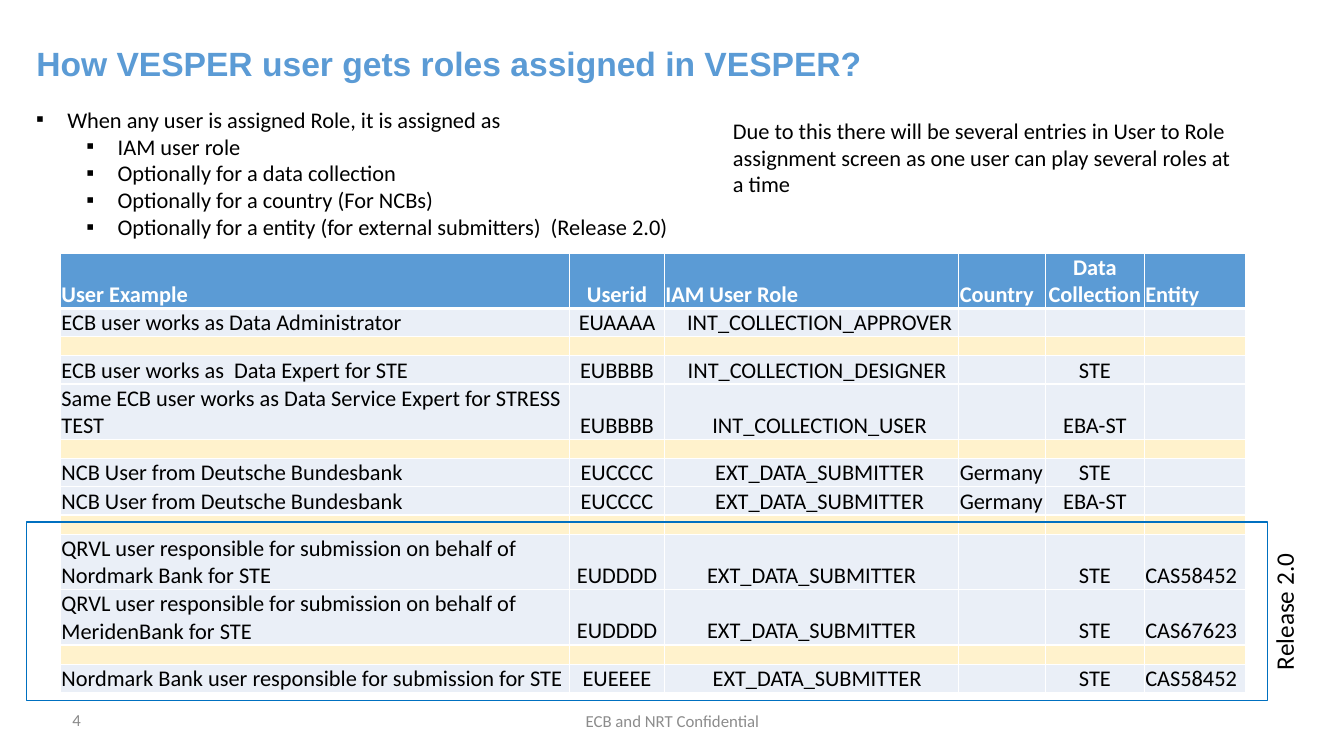
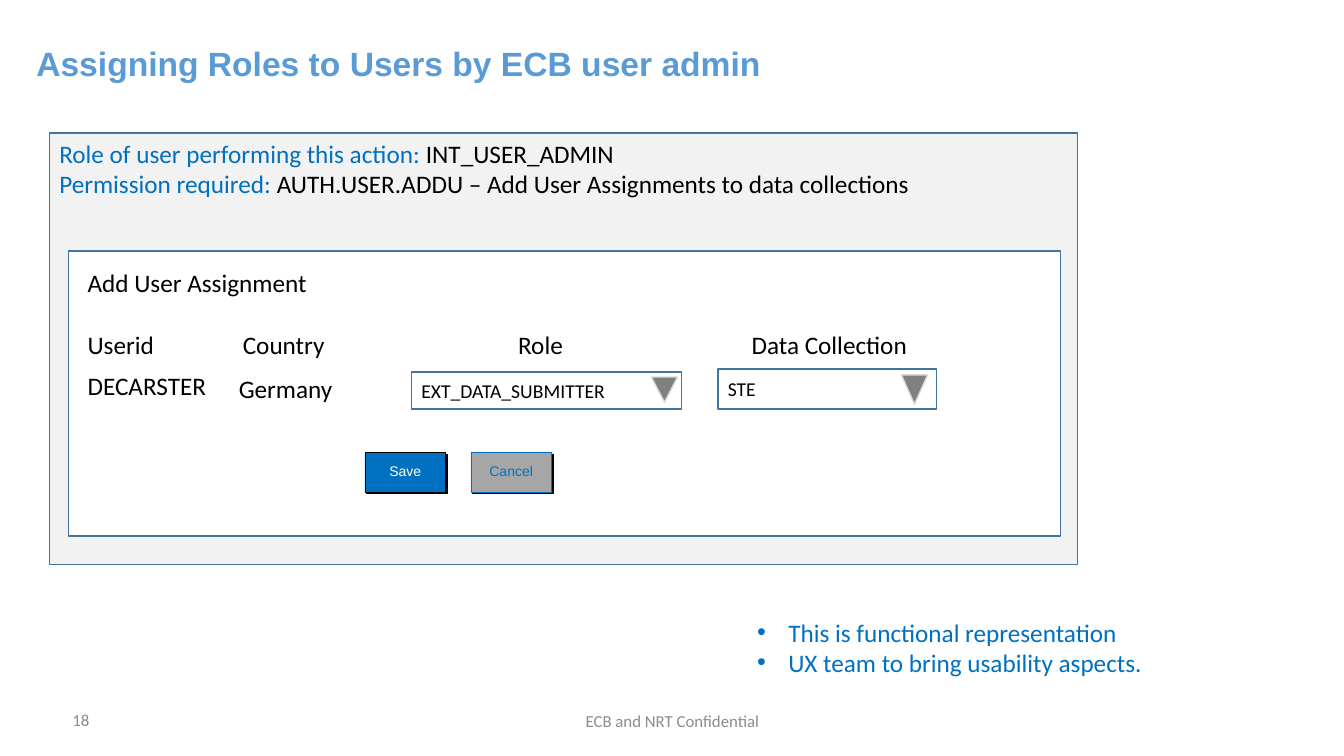
"""Build two slides on how users are assigned roles."""
from lxml import etree
from pptx import Presentation
from pptx.dml.color import RGBColor
from pptx.enum.shapes import MSO_SHAPE
from pptx.enum.text import MSO_ANCHOR, MSO_AUTO_SIZE, PP_ALIGN
from pptx.oxml.ns import qn
from pptx.util import Inches, Pt

RECTANGLE = MSO_SHAPE.RECTANGLE
TRIANGLE = MSO_SHAPE.ISOSCELES_TRIANGLE
LEFT, CENTER, JUSTIFY = PP_ALIGN.LEFT, PP_ALIGN.CENTER, PP_ALIGN.JUSTIFY
TOP, MIDDLE, BOTTOM = MSO_ANCHOR.TOP, MSO_ANCHOR.MIDDLE, MSO_ANCHOR.BOTTOM
COLORS = {
    "heading": "5B9BD5", "ink": "000000", "white": "FFFFFF", "accent": "0070C0",
    "frame": "43739E", "panel": "F2F2F2", "row": "EAEFF7", "gap": "FFF2CC",
    "footer": "8C8C8C", "number": "898989", "arrow": "808080",
    "arrow_edge": "D9D9D9", "disabled": "A6A6A6",
}


def write(para, size, spans, align=LEFT, font="Calibri", bold=False):
    """Add coloured spans to a paragraph."""
    para.alignment = align
    for text, color in spans:
        span = para.add_run()
        span.text = text
        span.font.size = Pt(size)
        span.font.name = font
        span.font.bold = bold
        span.font.color.rgb = RGBColor.from_string(COLORS[color])


def place(page, kind, area, fill=None, line=None, width=1):
    """Add a preset shape, or a text box when there is no kind."""
    area = [Inches(length) for length in area]
    if kind is None:
        box = page.shapes.add_textbox(*area)
    else:
        box = page.shapes.add_shape(kind, *area)
        box.shadow.inherit = False
        box.line.color.rgb = RGBColor.from_string(COLORS[line])
        box.line.width = Pt(width)
        if fill:
            box.fill.solid()
            box.fill.fore_color.rgb = RGBColor.from_string(COLORS[fill])
        else:
            box.fill.background()
        box.text_frame.vertical_anchor = MIDDLE
    box.text_frame.word_wrap = True
    return box


deck = Presentation()
deck.slide_width, deck.slide_height = Inches(13.33), Inches(7.5)
title_only = deck.slide_layouts[5]

pages = []
for heading, number in [
    ("How VESPER user gets roles assigned in VESPER?", "4"),
    ("Assigning Roles to Users by ECB user admin", "18"),
]:
    page = deck.slides.add_slide(title_only)
    pages.append(page)
    title = page.shapes.title
    title.left, title.top = Inches(0.26), Inches(0.42)
    title.width, title.height = Inches(11.55), Inches(0.57)
    title.text_frame.vertical_anchor = TOP
    title.text_frame.auto_size = MSO_AUTO_SIZE.NONE
    para = title.text_frame.paragraphs[0]
    para.line_spacing = 0.9
    write(para, 24, [(heading, "heading")], JUSTIFY, "Arial", True)
    for area, text, color, align in [
        ((4.42, 6.95, 4.5, 0.4), "ECB and NRT Confidential", "footer", CENTER),
        ((0.62, 6.94, 3, 0.4), number, "number", LEFT),
    ]:
        box = place(page, None, area)
        box.text_frame.vertical_anchor = MIDDLE
        write(box.text_frame.paragraphs[0], 12, [(text, color)], align)
roles_page, form_page = pages

for page, area, size, color, mark, items in [
    (roles_page, (0.26, 1, 6.57, 1.72), 16, "ink", "▪", [
        (0, "When any user is assigned Role, it is assigned as"),
        (1, "IAM user role"),
        (1, "Optionally for a data collection"),
        (1, "Optionally for a country (For NCBs)"),
        (1, "Optionally for a entity (for external submitters)  (Release 2.0)"),
    ]),
    (form_page, (7.41, 6.07, 4.49, 0.71), 18, "accent", "•", [
        (0, "This is functional representation"),
        (0, "UX team to bring usability aspects."),
    ]),
]:
    frame = place(page, None, area).text_frame
    for index, (level, text) in enumerate(items):
        para = frame.add_paragraph() if index else frame.paragraphs[0]
        para.level = level
        write(para, size, [(text, color)])
        properties = para._p.get_or_add_pPr()
        properties.set("marL", str(Inches(0.31 + 0.5 * level)))
        properties.set("indent", str(-Inches(0.31)))
        etree.SubElement(properties, qn("a:buFont")).set("typeface", "Arial")
        etree.SubElement(properties, qn("a:buChar")).set("char", mark)

remark = place(roles_page, None, (6.67, 1.11, 5.74, 0.91))
remark.text_frame.margin_left = Inches(0.6)
write(remark.text_frame.paragraphs[0], 16, [(
    "Due to this there will be several entries in User to Role "
    "assignment screen as one user can play several roles at a time", "ink")])

SINGLE, DOUBLE, GAP = 0.28, 0.55, 0.19
SPACER = (GAP, 0, [""] * 6)
rows = [
    (DOUBLE, 0, ["User Example", "Userid", "IAM User Role", "Country",
                 "Data Collection", "Entity"]),
    (SINGLE, 0.16, ["ECB user works as Data Administrator", "EUAAAA",
                    "INT_COLLECTION_APPROVER", "", "", ""]),
    SPACER,
    (SINGLE, 0.11, ["ECB user works as  Data Expert for STE", "EUBBBB",
                    "INT_COLLECTION_DESIGNER", "", "STE", ""]),
    (DOUBLE, 0.16, ["Same ECB user works as Data Service Expert for STRESS TEST",
                    "EUBBBB", "INT_COLLECTION_USER", "", "EBA-ST", ""]),
    SPACER,
    (SINGLE, 0.16, ["NCB User from Deutsche Bundesbank", "EUCCCC",
                    "EXT_DATA_SUBMITTER", "Germany", "STE", ""]),
    (SINGLE, 0.16, ["NCB User from Deutsche Bundesbank", "EUCCCC",
                    "EXT_DATA_SUBMITTER", "Germany", "EBA-ST", ""]),
    SPACER,
    (DOUBLE, 0, ["QRVL user responsible for submission on behalf of "
                 "Nordmark Bank for STE", "EUDDDD", "EXT_DATA_SUBMITTER", "",
                 "STE", "CAS58452"]),
    (DOUBLE, 0, ["QRVL user responsible for submission on behalf of "
                 "MeridenBank for STE", "EUDDDD", "EXT_DATA_SUBMITTER", "",
                 "STE", "CAS67623"]),
    SPACER,
    (SINGLE, 0.11, ["Nordmark Bank user responsible for submission for STE",
                    "EUEEEE", "EXT_DATA_SUBMITTER", "", "STE", "CAS58452"]),
]
widths = [5.05, 0.94, 2.92, 0.86, 0.98, 1]
table = roles_page.shapes.add_table(
    len(rows), len(widths), Inches(0.6), Inches(2.51),
    Inches(sum(widths)), Inches(sum(row[0] for row in rows))).table
table.horz_banding = False
for column, width in zip(table.columns, widths):
    column.width = Inches(width)
for row_index, (height, role_indent, texts) in enumerate(rows):
    table.rows[row_index].height = Inches(height)
    is_header = row_index == 0
    fill = "heading" if is_header else "gap" if height == GAP else "row"
    for column_index, text in enumerate(texts):
        cell = table.cell(row_index, column_index)
        cell.fill.solid()
        cell.fill.fore_color.rgb = RGBColor.from_string(COLORS[fill])
        cell.vertical_anchor = BOTTOM
        cell.margin_left = cell.margin_right = cell.margin_top = Inches(0.01)
        cell.margin_bottom = 0
        if column_index == 2:
            cell.margin_left = Inches(0.01 + role_indent)
        para = cell.text_frame.paragraphs[0]
        if text:
            centered = column_index in (1, 4) or column_index == 2 and not is_header
            write(para, 16, [(text, "white" if is_header else "ink")],
                  CENTER if centered else LEFT, bold=is_header)
        else:
            etree.SubElement(para._p, qn("a:endParaRPr")).set("sz", "1000")
        properties = cell._tc.get_or_add_tcPr()
        for position, side in enumerate("LRTB"):
            thick = (row_index, side) in [(0, "B"), (1, "T")]
            border = etree.Element(qn(f"a:ln{side}"), w=str(Pt(3 if thick else 1)))
            paint = etree.SubElement(border, qn("a:solidFill"))
            etree.SubElement(paint, qn("a:srgbClr")).set("val", COLORS["white"])
            properties.insert(position, border)

place(roles_page, RECTANGLE, (0.26, 5.18, 12.31, 1.77), line="accent")
release = place(roles_page, None, (12.05, 5.86, 1.37, 0.4))
release.rotation = 270
release.text_frame.word_wrap = False
write(release.text_frame.paragraphs[0], 18, [("Release 2.0", "ink")])

place(form_page, RECTANGLE, (0.49, 1.32, 10.2, 4.28), "panel", "frame")
place(form_page, RECTANGLE, (0.68, 2.49, 9.84, 2.83), "white", "frame")
frame = place(form_page, None, (0.49, 1.32, 10.2, 0.71)).text_frame
write(frame.paragraphs[0], 18, [
    ("Role of user performing this action: ", "accent"), ("INT_USER_ADMIN", "ink")])
write(frame.add_paragraph(), 18, [
    ("Permission required: ", "accent"),
    ("AUTH.USER.ADDU – Add User Assignments to data collections", "ink")])

for left, top, width, text, align in [
    (0.77, 2.6, 2.85, "Add User Assignment", LEFT),
    (0.77, 3.22, 1.55, "Userid", LEFT),
    (2.31, 3.22, 1.55, "Country", LEFT),
    (5.04, 3.22, 1.55, "Role", LEFT),
    (7.21, 3.22, 2.03, "Data Collection", CENTER),
    (0.77, 3.62, 2.08, "DECARSTER", LEFT),
    (2.27, 3.65, 1.55, "Germany", LEFT),
]:
    label = place(form_page, None, (left, top, width, 0.4))
    write(label.text_frame.paragraphs[0], 18, [(text, "ink")], align)

for field_area, arrow_area, text in [
    ((4.08, 3.69, 2.68, 0.37), (6.46, 3.74, 0.26, 0.25), "EXT_DATA_SUBMITTER"),
    ((7.12, 3.66, 2.17, 0.4), (8.94, 3.72, 0.26, 0.29), "STE"),
]:
    field = place(form_page, RECTANGLE, field_area, "white", "frame")
    write(field.text_frame.paragraphs[0], 14, [(text, "ink")])
    arrow = place(form_page, TRIANGLE, arrow_area, "arrow", "arrow_edge")
    arrow.rotation = 180

for left, text, fill, line, color in [
    (3.62, "Save", "accent", "ink", "white"),
    (4.67, "Cancel", "disabled", "accent", "accent"),
]:
    button = place(form_page, RECTANGLE, (left, 4.49, 0.8, 0.39), fill, line, 0.25)
    frame = button.text_frame
    frame.margin_left = frame.margin_right = Inches(0.08)
    frame.margin_top = frame.margin_bottom = Inches(0.04)
    frame.paragraphs[0].line_spacing = 0.9
    write(frame.paragraphs[0], 10, [(text, color)], CENTER, "Arial")
    effects = button._element.spPr.find(qn("a:effectLst"))
    shadow = etree.SubElement(effects, qn("a:outerShdw"), blurRad="0",
                              dist=str(Pt(1.4)), dir=str(45 * 60000))
    etree.SubElement(shadow, qn("a:srgbClr")).set("val", COLORS["ink"])

deck.save("out.pptx")
